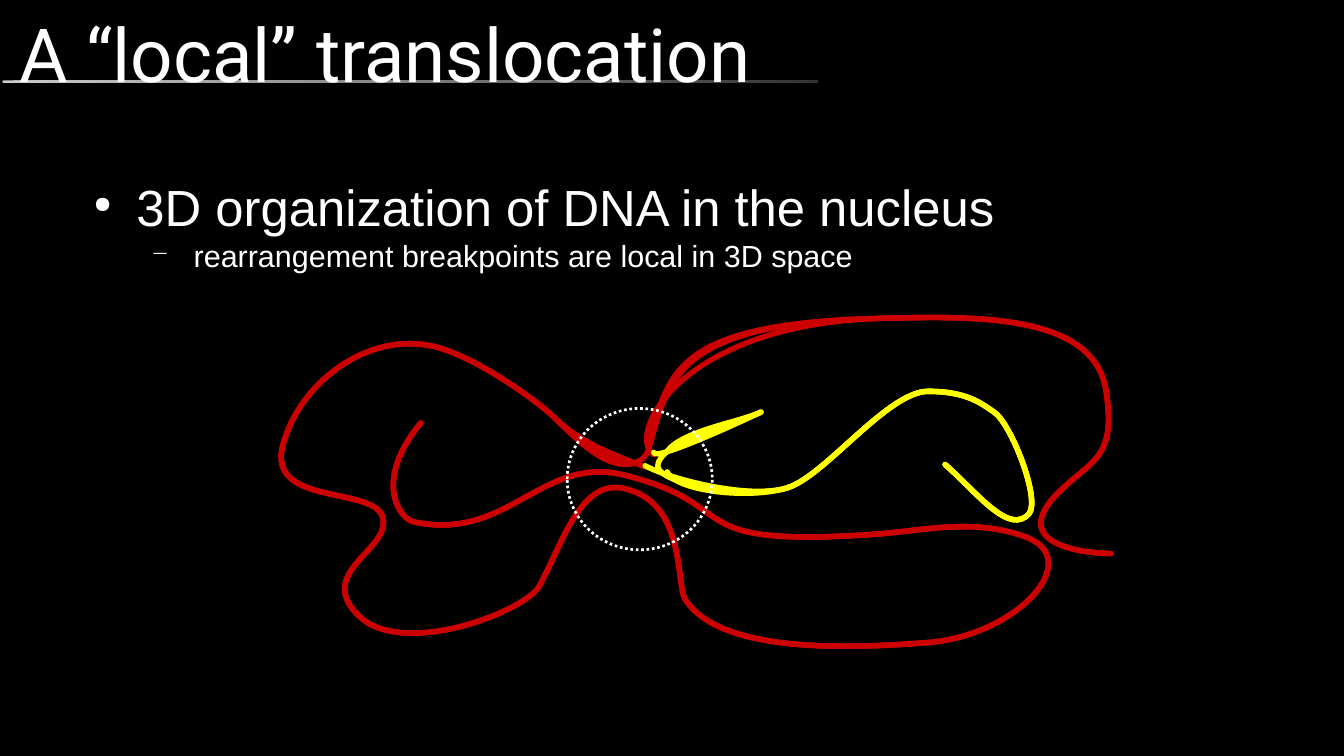
from lxml import etree
from pptx import Presentation
from pptx import util as u
from pptx.dml.color import RGBColor
from pptx.enum import dml, shapes, text
from pptx.oxml import ns

TITLE = "A “local” translocation"
BULLETS = [
    ("3D organization of DNA in the nucleus", 30, 0.47, "●", 45),
    ("rearrangement breakpoints are local in 3D space", 18, 0.94, "−", 75),
]
WHITE, BLACK, RED, YELLOW = "FFFFFF", "000000", "CC0000", "FFFF00"

BODY_START = (3.45, 3.47)
BODY = [
    (3.06, 3.94, 3.27, 4.25, 3.39, 4.28),
    (4.17, 4.45, 4.44, 3.72, 5.13, 3.9),
    (6.13, 4.15, 5.52, 4.5, 7.2, 4.38),
    (7.58, 4.35, 7.98, 4.25, 8.4, 4.4),
    (8.91, 4.58, 8.35, 5.21, 7.61, 5.27),
    (6.85, 5.33, 5.9, 5.34, 5.62, 4.92),
    (5.54, 4.8, 5.63, 4.13, 5.13, 4.01),
    (4.76, 3.91, 4.61, 4.47, 4.42, 4.81),
    (4.3, 5.02, 3.28, 5.41, 2.93, 5.04),
    (2.59, 4.69, 3.2, 4.51, 3.14, 4.25),
    (3.08, 3.98, 2.18, 4.16, 2.32, 3.65),
    (2.46, 3.13, 3.02, 2.72, 3.55, 2.84),
    (3.86, 2.91, 4.33, 3.23, 4.53, 3.41),
]
LOOP = [
    (8.06, 2.59, 8.98, 2.59, 9.07, 3.21),
    (9.16, 3.79, 8.93, 3.77, 8.64, 4.08),
    (8.28, 4.49, 8.95, 4.54, 9.11, 4.54),
]
TIP = (6.24, 3.38)
WAVE = [
    (6.77, 3.9, 7.28, 3.21, 7.61, 3.21),
    (7.94, 3.21, 8.06, 3.32, 8.15, 3.38),
    (8.29, 3.47, 8.53, 4.09, 8.44, 4.21),
    (8.28, 4.4, 8.02, 4.05, 7.75, 3.81),
]
INTACT = [
    (RED, BODY_START, BODY + [(4.75, 3.63, 5.23, 4.02, 5.33, 3.65),
                              (5.49, 3.08, 5.56, 2.64, 7.28, 2.61)] + LOOP),
    (YELLOW, TIP, [(6.07, 3.46, 5.49, 3.59, 5.4, 3.79),
                   (5.31, 3.97, 6.15, 4.1, 6.46, 4)] + WAVE),
]
JOINED = [
    (RED, BODY_START, BODY + [(4.75, 3.63, 5.03, 3.73, 5.29, 3.83)]),
    (RED, (5.36, 3.73), [(5.13, 3.58, 5.56, 2.64, 7.28, 2.61)] + LOOP),
    (YELLOW, TIP, [(6.07, 3.46, 5.36, 3.79, 5.36, 3.71)]),
    (YELLOW, (5.29, 3.82), [(5.49, 3.93, 6.15, 4.1, 6.46, 4)] + WAVE),
]
BROKEN = [
    (RED, BODY_START, BODY + [(4.75, 3.63, 5.02, 3.9, 5.24, 3.78)]),
    (RED, (5.33, 3.6), [(5.49, 3.03, 5.56, 2.64, 7.28, 2.61)] + LOOP),
    (YELLOW, TIP, [(6.07, 3.46, 5.6, 3.53, 5.47, 3.7)]),
    (YELLOW, (5.47, 3.87), [(5.54, 4.03, 6.15, 4.1, 6.46, 4)] + WAVE),
]


def color(value):
    return RGBColor.from_string(value)


def sample(start, curves, steps=24):
    points = [start]
    for curve in curves:
        corners = [points[-1], curve[:2], curve[2:4], curve[4:]]
        for step in range(1, steps + 1):
            t = step / steps
            weights = ((1 - t) ** 3, 3 * t * (1 - t) ** 2, 3 * t * t * (1 - t), t ** 3)
            points.append(tuple(sum(w * c[axis] for w, c in zip(weights, corners))
                                for axis in (0, 1)))
    return points


def add_strand(parent, tone, start, curves):
    points = [(u.Inches(x), u.Inches(y)) for x, y in sample(start, curves)]
    builder = parent.build_freeform(*points[0])
    builder.add_line_segments(points[1:], close=False)
    strand = builder.convert_to_shape()
    outline = strand._element.spPr.find(".//" + ns.qn("a:path"))
    for segment in outline.findall(ns.qn("a:lnTo")):
        outline.remove(segment)
    for curve in curves:
        bezier = etree.SubElement(outline, ns.qn("a:cubicBezTo"))
        for x, y in zip(curve[::2], curve[1::2]):
            etree.SubElement(bezier, ns.qn("a:pt"),
                             x=str(u.Inches(x) - strand.left),
                             y=str(u.Inches(y) - strand.top))
    strand.shadow.inherit = False
    strand.fill.background()
    strand.line.color.rgb = color(tone)
    strand.line.width = u.Pt(3.17)
    strand.line._get_or_add_ln().set("cap", "rnd")


def add_state(page, strands):
    group = page.shapes.add_group_shape()
    for strand in strands:
        add_strand(group.shapes, *strand)


def add_box(page, left, top, width, height, insets=(0, 0)):
    box = page.shapes.add_textbox(*map(u.Inches, (left, top, width, height)))
    frame = box.text_frame
    frame.word_wrap = True
    frame.margin_left = frame.margin_right = u.Inches(insets[0])
    frame.margin_top = frame.margin_bottom = u.Inches(insets[1])
    return frame


def write(para, words, size, name):
    para.text = words
    para.font.size = u.Pt(size)
    para.font.name = name
    para.font.color.rgb = color(WHITE)


def add_bullet(para, indent, mark, percent):
    props = para._p.get_or_add_pPr()
    props.set("marL", str(u.Inches(indent)))
    props.set("indent", str(u.Inches(-0.35)))
    tint = etree.SubElement(props, ns.qn("a:buClr"))
    etree.SubElement(tint, ns.qn("a:srgbClr"), val=WHITE)
    etree.SubElement(props, ns.qn("a:buSzPct"), val=str(percent * 1000))
    etree.SubElement(props, ns.qn("a:buChar"), char=mark)


def add_rule(page):
    rule = page.shapes.add_shape(shapes.MSO_SHAPE.ROUNDED_RECTANGLE,
                                 *map(u.Inches, (0.02, 0.66, 6.69, 0.02)))
    rule.adjustments[0] = 0.5
    rule.shadow.inherit = False
    rule.line.fill.background()
    rule.fill.gradient()
    rule.fill.gradient_angle = 0
    for stop, position, tone in zip(rule.fill.gradient_stops, (0, 1), ("CCCCCC", "333333")):
        stop.position = position
        stop.color.rgb = color(tone)


def add_focus(page):
    focus = page.shapes.add_shape(shapes.MSO_SHAPE.OVAL,
                                  *map(u.Inches, (4.65, 3.35, 1.19, 1.16)))
    focus.shadow.inherit = False
    focus.fill.background()
    focus.line.color.rgb = color(WHITE)
    focus.line.width = u.Pt(1.59)
    focus.line.dash_style = dml.MSO_LINE.ROUND_DOT


def main():
    deck = Presentation()
    deck.slide_width, deck.slide_height = u.Inches(11.02), u.Inches(6.2)
    page = deck.slides.add_slide(deck.slide_layouts[6])
    page.background.fill.solid()
    page.background.fill.fore_color.rgb = color(BLACK)

    add_rule(page)
    add_state(page, INTACT)
    add_state(page, JOINED)

    frame = add_box(page, 0.55, 1.34, 9.7, 4.7, (0.1, 0.1))
    for level, (words, size, indent, mark, percent) in enumerate(BULLETS):
        para = frame.add_paragraph() if level else frame.paragraphs[0]
        para.level = level
        add_bullet(para, indent, mark, percent)
        write(para, words, size, "Arial")

    add_state(page, BROKEN)

    frame = add_box(page, 0.16, 0.02, 10.43, 0.83)
    frame.vertical_anchor = text.MSO_ANCHOR.MIDDLE
    write(frame.paragraphs[0], TITLE, 44, "Roboto")

    add_focus(page)
    deck.save("out.pptx")


if __name__ == "__main__":
    main()
